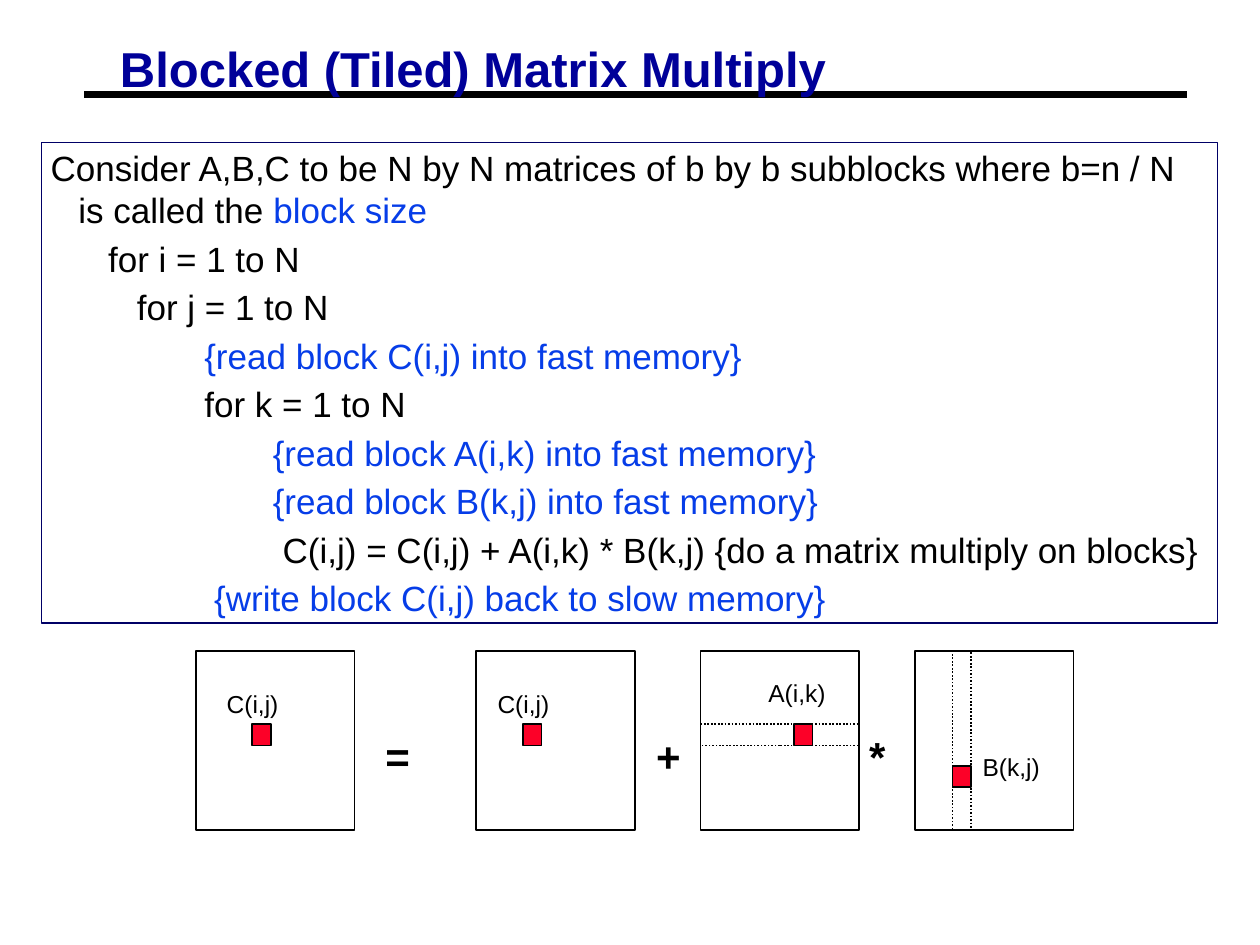
from lxml import etree
from pptx import Presentation
from pptx.dml.color import RGBColor
from pptx.enum import dml, shapes, text
from pptx.oxml.ns import qn
from pptx.util import Cm, Pt

COLORS = {"black": "000000", "title": "000099", "frame": "000066",
          "blue": "063DE8", "red": "FC0128"}


def add_rect(left, top, width, height, line="black", weight=1, fill=None):
    sp = s.shapes.add_shape(shapes.MSO_SHAPE.RECTANGLE,
                            Cm(left), Cm(top), Cm(width), Cm(height))
    sp.shadow.inherit = False
    if fill:
        sp.fill.solid()
        sp.fill.fore_color.rgb = RGBColor.from_string(COLORS[fill])
    else:
        sp.fill.background()
    sp.line.color.rgb = RGBColor.from_string(COLORS[line])
    sp.line.width = Pt(weight)
    return sp


def add_text(words, left, top, width, height, size, bold=False, color="black"):
    tf = s.shapes.add_textbox(Cm(left), Cm(top), Cm(width), Cm(height)).text_frame
    tf.word_wrap = True
    tf.margin_right = 0
    p = tf.paragraphs[0]
    p.text = words
    p.font.name = "Arial"
    p.font.size = Pt(size)
    p.font.bold = bold
    p.font.color.rgb = RGBColor.from_string(COLORS[color])
    return tf


prs = Presentation()
prs.slide_width, prs.slide_height = Cm(25.4), Cm(19.05)
s = prs.slides.add_slide(prs.slide_layouts[6])

rule = s.shapes.add_connector(shapes.MSO_CONNECTOR.STRAIGHT,
                              Cm(1.7), Cm(1.9), Cm(23.93), Cm(1.9))
rule.line.color.rgb = RGBColor.from_string(COLORS["black"])
rule.line.width = Pt(3.75)
etree.SubElement(rule._element.spPr, qn("a:effectLst"))

tf = add_text("Blocked (Tiled) Matrix Multiply", 2.24, 0.86, 14.63, 1.17, 28, True, "title")
tf.margin_left = Cm(0.18)
tf.margin_top = tf.margin_bottom = Cm(0.08)
tf.paragraphs[0].line_spacing = 0.87

lines = [
    (0.56, [("Consider A,B,C to be N by N matrices of b by b subblocks "
             "where b=n / N is called the ", "black"), ("block size", "blue")]),
    (1.16, [("for i = 1 to N", "black")]),
    (1.74, [("for j = 1 to N", "black")]),
    (3.1, [("{read block C(i,j) into fast memory}", "blue")]),
    (3.1, [("for k = 1 to N", "black")]),
    (4.48, [("{read block A(i,k) into fast memory}", "blue")]),
    (4.48, [("{read block B(k,j) into fast memory}", "blue")]),
    (4.68, [("C(i,j) = C(i,j) + A(i,k) * B(k,j) {do a matrix multiply on blocks}", "black")]),
    (3.3, [("{write block C(i,j) back to slow memory}", "blue")]),
]
tf = add_rect(0.84, 2.88, 23.7, 9.68, "frame", 0.75).text_frame
tf.word_wrap = True
tf.vertical_anchor = text.MSO_ANCHOR.TOP
tf.margin_left = tf.margin_right = Cm(0.18)
tf.margin_top = tf.margin_bottom = Cm(0.08)
for i, (indent, runs) in enumerate(lines):
    p = tf.add_paragraph() if i else tf.paragraphs[0]
    p.alignment = text.PP_ALIGN.LEFT
    p.space_before = Pt(3.7 if i else 0)
    pPr = p._p.get_or_add_pPr()
    pPr.set("marL", str(Cm(indent)))
    pPr.set("indent", str(0 if i else -Cm(indent)))
    p.font.name = "Arial"
    p.font.size = Pt(20)
    for words, color in runs:
        r = p.add_run()
        r.text = words
        r.font.color.rgb = RGBColor.from_string(COLORS[color])

matrix_top, matrix_w, matrix_h = 13.13, 3.2, 3.61
block_w, block_h = 0.38, 0.43
row_top, col_left = 14.6, 19.2
matrices = [
    (3.95, 5.08, row_top, "C(i,j)", 4.32, 13.77),
    (9.6, 10.54, row_top, "C(i,j)", 9.78, 13.77),
    (14.12, 16, row_top, "A(i,k)", 15.24, 13.54),
    (18.44, col_left, 15.44, "B(k,j)", 19.56, 15.04),
]
for left, *_ in matrices:
    add_rect(left, matrix_top, matrix_w, matrix_h)

for band in [(14.12, row_top, matrix_w, block_h), (col_left, matrix_top, block_w, matrix_h)]:
    add_rect(*band).line.dash_style = dml.MSO_LINE.ROUND_DOT

for _, block_left, block_top, label, label_left, label_top in matrices:
    add_rect(block_left, block_top, block_w, block_h, fill="red")
    add_text(label, label_left, label_top, 1.88, 0.86, 14)

for sign, left, width in [("=", 7.52, 1.5), ("+", 12.98, 0.76), ("*", 17.27, 0.46)]:
    add_text(sign, left, 14.6, width, 1.27, 24, True)

prs.save("out.pptx")
